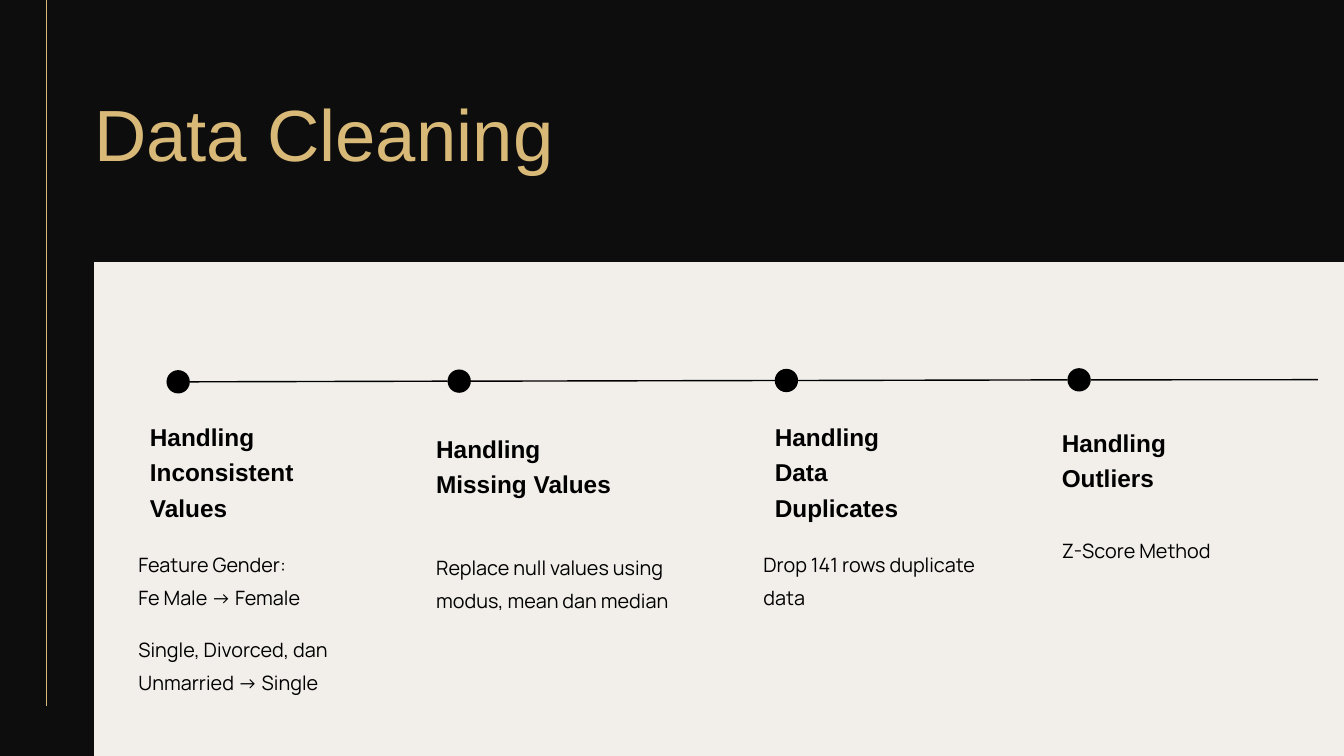
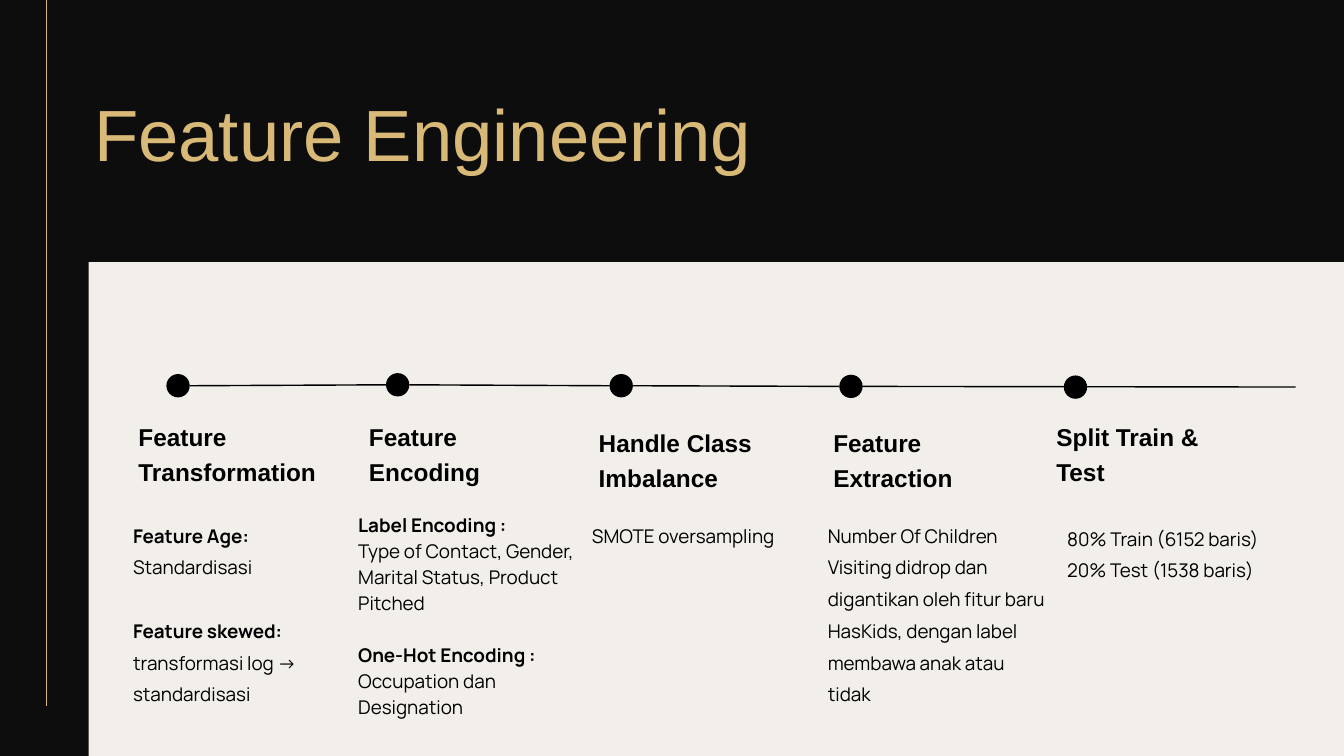
from lxml import etree
from pptx import Presentation
from pptx.dml.color import RGBColor
from pptx.enum.shapes import MSO_CONNECTOR as CONN, MSO_SHAPE as SHAPE
from pptx.enum.text import MSO_ANCHOR as ANCHOR, MSO_AUTO_SIZE as AUTO, PP_ALIGN as ALIGN
from pptx.oxml.ns import qn
from pptx.util import Pt

WIDTH, HEIGHT = 1440, 810
DOT = 25
COLORS = {"dark": "0D0D0D", "gold": "D8B977", "cream": "F2EFEB", "ink": "000000"}
FONTS = {
    "title": {"name": "Arial", "size": Pt(77.7), "bold": False},
    "heading": {"name": "Arial", "size": Pt(26.1), "bold": True},
    "body": {"name": "Manrope", "size": Pt(21.2), "bold": False},
    "small": {"name": "Manrope", "size": Pt(20.2), "bold": False},
}
SPACING = {"title": 1.08, "heading": 1.2, "body": 1.4, "small": 1.4}
FRAME = {"margin_left": 0, "margin_top": 0, "margin_right": 0, "margin_bottom": 0,
         "word_wrap": True, "auto_size": AUTO.SHAPE_TO_FIT_TEXT,
         "vertical_anchor": ANCHOR.TOP}


def rgb(color):
    return RGBColor.from_string(COLORS[color])


def set_values(target, values):
    for key, value in values.items():
        setattr(target, key, value)


class Deck:
    """Holds the shared style and the slide being built."""

    def __init__(self):
        self.prs = Presentation()
        self.prs.slide_width, self.prs.slide_height = Pt(WIDTH), Pt(HEIGHT)
        fill = self.prs.slide_master.background.fill
        fill.solid()
        fill.fore_color.rgb = rgb("dark")
        self.slide = None

    def new_slide(self, title, panel_left):
        self.slide = self.prs.slides.add_slide(self.prs.slide_layouts[5])
        sp = self.slide.shapes.title
        set_values(sp, {"left": Pt(100.8), "top": Pt(87.8),
                        "width": Pt(1099.4), "height": Pt(94.3)})
        self.fill_text(sp.text_frame, [title], "title", "gold")
        self.shape(SHAPE.RECTANGLE, panel_left, 280.8, WIDTH - panel_left, HEIGHT - 280.8, "cream")
        self.line((49.7, 756.7), (49.7, 0), "gold")

    def shape(self, kind, x, y, w, h, color):
        sp = self.slide.shapes.add_shape(kind, Pt(x), Pt(y), Pt(w), Pt(h))
        sp.shadow.inherit = False
        sp.fill.solid()
        sp.fill.fore_color.rgb = rgb(color)
        sp.line.fill.background()

    def line(self, start, end, color="ink"):
        cx = self.slide.shapes.add_connector(CONN.STRAIGHT, *map(Pt, start + end))
        cx.line.color.rgb = rgb(color)
        cx.line.width = Pt(1.5)
        etree.SubElement(cx._element.spPr, qn("a:effectLst"))

    def dot(self, x, y):
        self.shape(SHAPE.OVAL, x - DOT / 2, y - DOT / 2, DOT, DOT, "ink")

    def timeline(self, dots, end):
        for (x, y), (next_x, next_y) in zip(dots, dots[1:] + [(end[0] + DOT / 2, end[1])]):
            self.dot(x, y)
            self.line((x + DOT / 2, y), (next_x - DOT / 2, next_y))

    def fill_text(self, tf, paragraphs, style, color="ink", spacing=None, gap=0):
        set_values(tf, FRAME)
        for i, text in enumerate(paragraphs):
            p = tf.add_paragraph() if i else tf.paragraphs[0]
            p.alignment = ALIGN.LEFT
            p.line_spacing = spacing or SPACING[style]
            p.space_before = Pt(gap if i and text.startswith("**") else 0)
            for j, part in enumerate(text.split("**")):
                if part:
                    r = p.add_run()
                    r.text = part
                    set_values(r.font, FONTS[style])
                    r.font.color.rgb = rgb(color)
                    if j % 2:
                        r.font.bold = True

    def text(self, x, y, w, h, paragraphs, style, **options):
        sp = self.slide.shapes.add_textbox(Pt(x), Pt(y), Pt(w), Pt(h))
        self.fill_text(sp.text_frame, paragraphs, style, **options)

    def headings(self, items):
        for x, y, w, h, text in items:
            self.text(x, y, w, h, [text], "heading")


def data_cleaning(deck):
    deck.new_slide("Data Cleaning", 100.8)
    deck.timeline([(190.9, 409.1), (492, 408.4), (842.6, 407.7), (1156.2, 407)], (1411.9, 406.8))
    deck.headings([
        (160.6, 446.4, 163.4, 107.3, "Handling Inconsistent Values"),
        (467.3, 458.6, 205.9, 69.1, "Handling Missing Values"),
        (830.2, 446.4, 151.2, 107.3, "Handling Data Duplicates"),
        (1137.6, 452.2, 171.4, 69.1, "Handling Outliers"),
    ])
    for x, y, h, paragraphs in [
        (148.3, 581.8, 61.9, ["Feature Gender:", "Fe Male -> Female"]),
        (148.3, 673, 61.9, ["Single, Divorced, dan Unmarried -> Single"]),
        (467.3, 585.4, 61.9, ["Replace null values using modus, mean dan median"]),
        (817.9, 581.8, 61.9, ["Drop 141 rows duplicate data"]),
        (1137.6, 566.6, 25.9, ["Z-Score Method"]),
    ]:
        deck.text(x, y, 272.2, h, paragraphs, "body")


def feature_engineering(deck):
    deck.new_slide("Feature Engineering", 95)
    deck.timeline([(190.8, 413.3), (426.1, 412.3), (665.6, 413.3), (911.8, 414)], (1388.2, 414.7))
    deck.dot(1152.3, 414.8)
    deck.headings([
        (148.3, 446.4, 209.5, 69.1, "Feature Transformation"),
        (395.3, 446.4, 171.4, 69.1, "Feature Encoding"),
        (641.5, 452.2, 197.3, 69.1, "Handle Class Imbalance"),
        (892.8, 452.2, 151.2, 69.1, "Feature Extraction"),
        (1131.8, 446.4, 171.4, 69.1, "Split Train & Test"),
    ])
    for x, y, h, paragraphs, options in [
        (142.6, 552.2, 230.4, ["**Feature Age: **Standardisasi",
                               "**Feature skewed: **transformasi log -> standardisasi"],
         {"gap": 34}),
        (383.8, 546.5, 221.8, ["**Label Encoding :**",
                               "Type of Contact, Gender, Marital Status, Product Pitched",
                               "**One-Hot Encoding : **Occupation dan Designation"],
         {"gap": 28, "spacing": 1.15}),
        (634.3, 552.2, 24.5, ["SMOTE oversampling"], {}),
        (887, 552.2, 195.8, ["Number Of Children Visiting didrop dan digantikan oleh fitur baru "
                             "HasKids, dengan label membawa anak atau tidak"], {}),
        (1143.4, 555.1, 59, ["80% Train (6152 baris)", "20% Test (1538 baris)"], {}),
    ]:
        deck.text(x, y, 235.4, h, paragraphs, "small", **options)


def main():
    deck = Deck()
    data_cleaning(deck)
    feature_engineering(deck)
    deck.prs.save("out.pptx")


if __name__ == "__main__":
    main()
